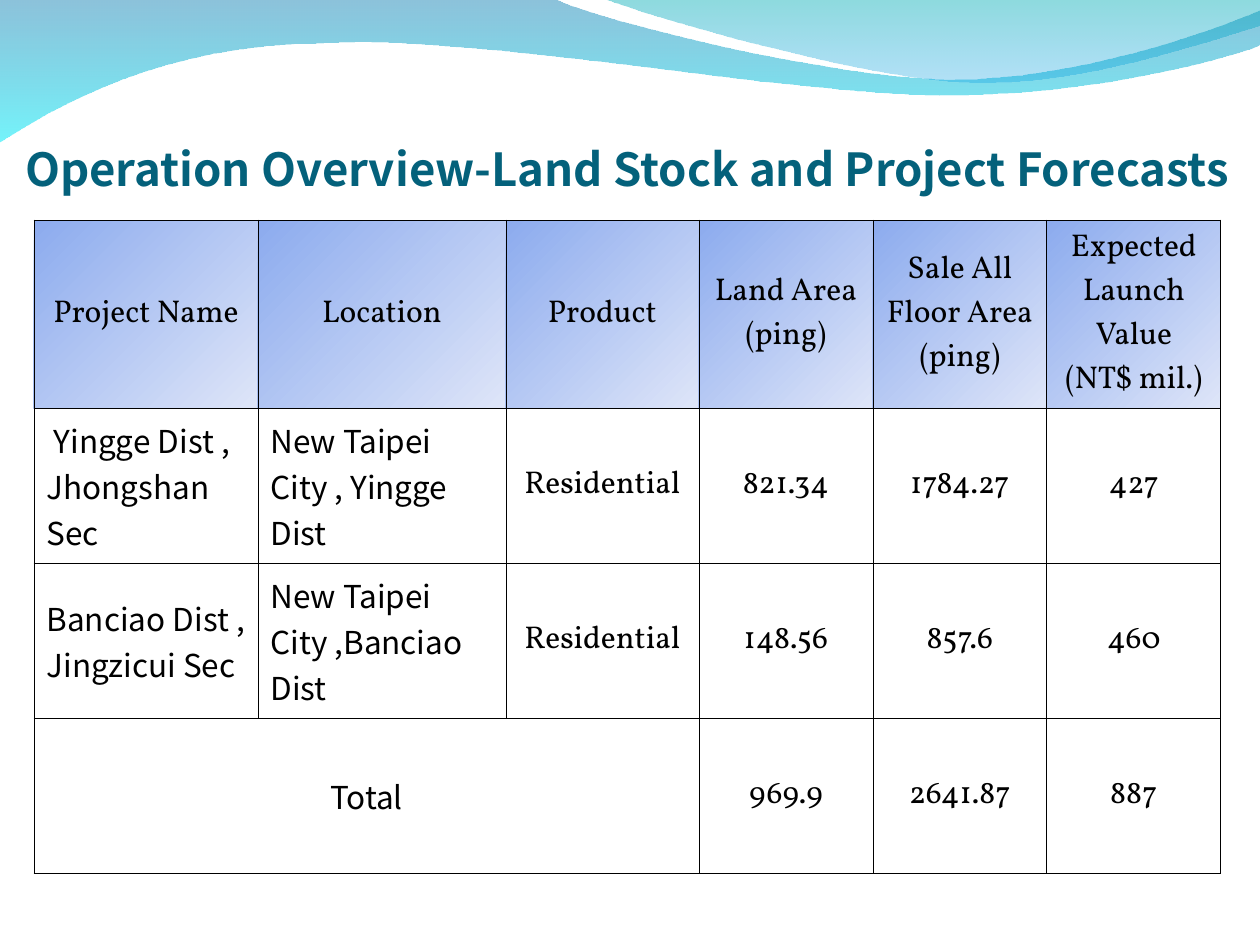
from lxml.etree import SubElement
from pptx import Presentation
from pptx.dml.color import RGBColor
from pptx.enum.text import MSO_ANCHOR, MSO_AUTO_SIZE, PP_ALIGN
from pptx.oxml.ns import qn
from pptx.util import Pt

PX = 9144000 / 1260
SANS, SERIF, TITLE_FONT = "Noto Sans CJK TC", "Vollkorn", "Noto Sans CJK SC"
BLACK = "000000"

TITLE = "Operation Overview-Land Stock and Project Forecasts"
ROWS = [
    ["Project Name", "Location", "Product", "Land Area\n(ping)",
     "Sale All Floor Area\n(ping)", "Expected Launch Value\n(NT$ mil.)"],
    [" Yingge Dist , Jhongshan Sec", "New Taipei City , Yingge Dist",
     "Residential", "821.34", "1784.27", "427"],
    ["Banciao Dist , Jingzicui Sec", "New Taipei City ,Banciao Dist",
     "Residential", "148.56", "857.6", "460"],
    ["Total", "", "", "969.9", "2641.87", "887"],
]
COL_WIDTHS = [224, 248, 193, 174, 174, 174]
ROW_HEIGHTS = [164, 155, 155, 155]
HEADER_STOPS = [("8CABEE", 100), ("DEE5F8", 100)]

WAVES = [
    {"start": (0, -1),
     "parts": [
         [(554, -1)],
         [(600, 21), (837, 79), (955, 79)],
         [(1075, 79), (1207, 33), (1260, 11)],
         [(1261, 45)],
         [(1239, 55), (1096, 96), (940, 95)],
         [(784, 94), (481, 35), (324, 43)],
         [(163, 44), (58, 105), (-1, 142)]],
     "stops": [("0079AF", 45), ("00EBF8", 55)]},
    {"start": (604, -1),
     "parts": [
         [(641, 14), (859, 78), (969, 82)],
         [(1079, 87), (1211, 40), (1260, 26)],
         [(1260, 0)]],
     "stops": [("00ADB6", 45), ("009BE5", 30)]},
]


def px(n):
    return round(n * PX)


def rgb(value):
    return RGBColor.from_string(value)


def set_attrs(obj, **values):
    for name, value in values.items():
        setattr(obj, name, value)


def set_font(font, name, size, color, bold=False):
    set_attrs(font, name=name, size=Pt(size), bold=bold)
    font.color.rgb = rgb(color)


def set_gradient(fill, stops, angle):
    fill.gradient()
    fill.gradient_angle = 360 - angle
    for i, (stop, (color, alpha)) in enumerate(zip(fill.gradient_stops, stops)):
        stop.position = i
        stop.color.rgb = rgb(color)
        if alpha < 100:
            clr = fill._fill._gradFill.findall(".//" + qn("a:srgbClr"))[i]
            SubElement(clr, qn("a:alpha"), val=str(alpha * 1000))


def curve_segments(sp, parts):
    lines = iter(sp._element.findall(".//" + qn("a:lnTo")))
    for part in parts:
        first, *rest = [next(lines) for _ in part]
        if rest:
            first.tag = qn("a:cubicBezTo")
        for line in rest:
            first.append(line[0])
            line.getparent().remove(line)


def add_wave(s, start, parts, stops):
    builder = s.shapes.build_freeform(*start, scale=PX)
    builder.add_line_segments([pt for part in parts for pt in part], close=True)
    sp = builder.convert_to_shape()
    curve_segments(sp, parts)
    sp.shadow.inherit = False
    sp.line.fill.background()
    set_gradient(sp.fill, stops, 90)


def set_borders(cell):
    tc_pr = cell._tc.get_or_add_tcPr()
    for side in ("lnL", "lnR", "lnT", "lnB"):
        ln = SubElement(tc_pr, qn("a:" + side), w=str(Pt(0.45)))
        fill = SubElement(ln, qn("a:solidFill"))
        SubElement(fill, qn("a:srgbClr"), val=BLACK)


def add_title(s):
    sp = s.shapes.title
    s.shapes._spTree.append(sp._element)
    set_attrs(sp, left=px(25), top=px(86), width=px(1211), height=px(110))
    tf = sp.text_frame
    set_attrs(tf, text=TITLE, word_wrap=True, auto_size=MSO_AUTO_SIZE.NONE,
              vertical_anchor=MSO_ANCHOR.BOTTOM, margin_left=0, margin_right=0,
              margin_top=px(6), margin_bottom=0)
    p = tf.paragraphs[0]
    p.alignment = PP_ALIGN.LEFT
    set_font(p.runs[0].font, TITLE_FONT, 26, "04617B", True)


def add_project_table(s):
    table = s.shapes.add_table(
        len(ROWS), len(COL_WIDTHS), px(34), px(220),
        px(sum(COL_WIDTHS)), px(sum(ROW_HEIGHTS))).table
    set_attrs(table, first_row=False, horz_banding=False)
    for col, width in zip(table.columns, COL_WIDTHS):
        col.width = px(width)
    for row, height in zip(table.rows, ROW_HEIGHTS):
        row.height = px(height)
    total = len(ROWS) - 1
    table.cell(total, 0).merge(table.cell(total, 2))
    for r, texts in enumerate(ROWS):
        for c, text in enumerate(texts):
            cell = table.cell(r, c)
            set_borders(cell)
            if r == 0:
                set_gradient(cell.fill, HEADER_STOPS, 45)
            else:
                cell.fill.background()
            if cell.is_spanned:
                continue
            set_attrs(cell, text=text, vertical_anchor=MSO_ANCHOR.MIDDLE)
            is_place = 0 < r < total and c < 2
            is_sans = r > 0 and c < 2
            for p in cell.text_frame.paragraphs:
                p.alignment = PP_ALIGN.LEFT if is_place else PP_ALIGN.CENTER
                set_font(p.runs[0].font, SANS if is_sans else SERIF, 18, BLACK)


def main():
    prs = Presentation()
    set_attrs(prs, slide_width=px(1260), slide_height=px(945))
    s = prs.slides.add_slide(prs.slide_layouts[5])
    for wave in WAVES:
        add_wave(s, **wave)
    add_title(s)
    add_project_table(s)
    prs.save("out.pptx")


if __name__ == "__main__":
    main()
